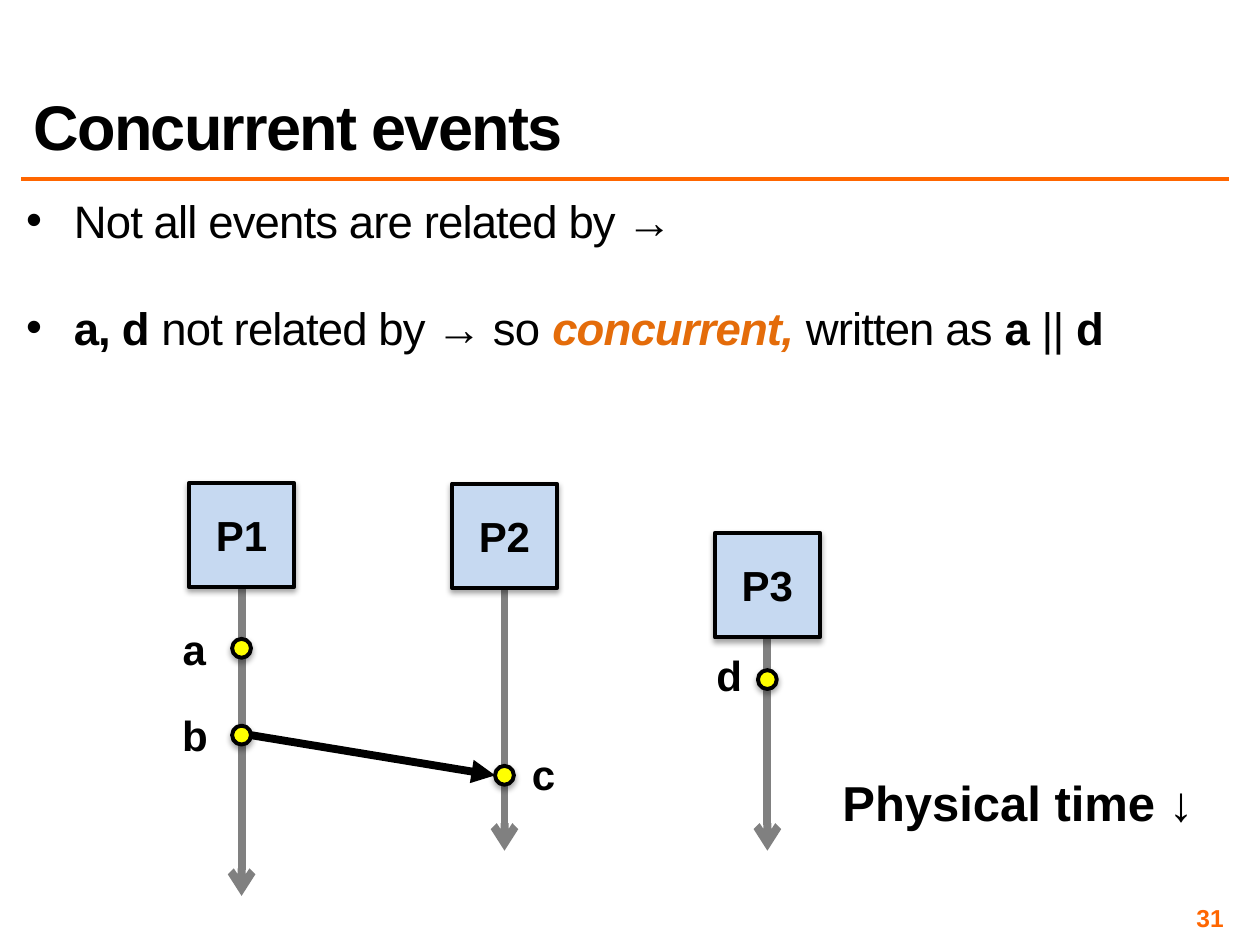
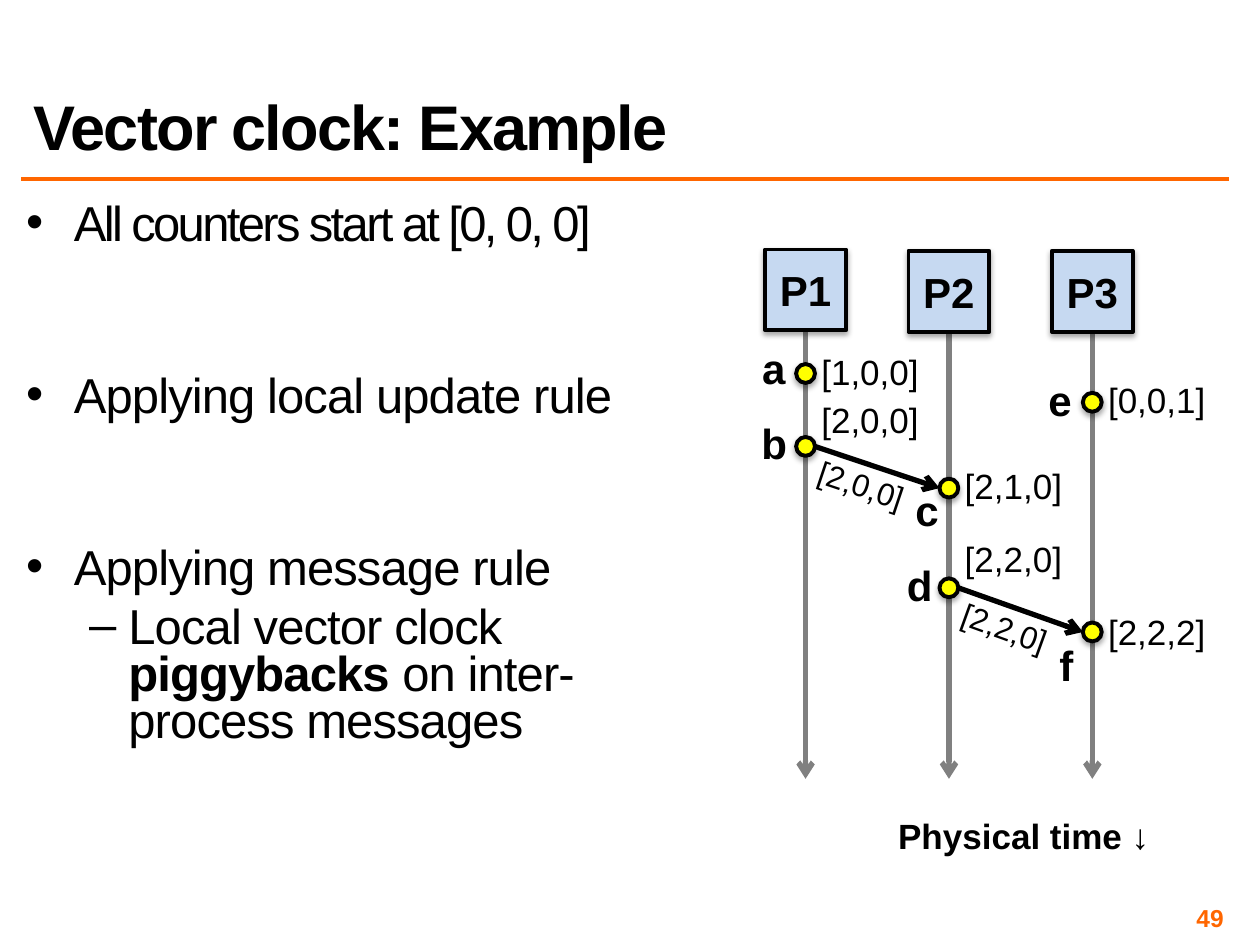
from lxml.etree import SubElement
from pptx import Presentation
from pptx.dml.color import RGBColor
from pptx.enum.shapes import MSO_CONNECTOR, MSO_SHAPE
from pptx.enum.text import MSO_ANCHOR, PP_ALIGN
from pptx.oxml.ns import qn
from pptx.util import Cm, Pt

COLORS = {
    "text": "000000",
    "accent": "FF6600",
    "emphasis": "E46C0A",
    "timeline": "808080",
    "process": "C6D9F1",
    "event": "FFFF00",
}
FONT = "Arial"
DOT = 0.38
VECTOR_SHIFT = 1.3
MARGIN = 0.43
CONTENT_WIDTH = 24.33


def color(name):
    """Return the named palette colour."""
    return RGBColor.from_string(COLORS[name])


def style(paragraph, size, bold=False, fill="text", spacing=0):
    """Set the font of a whole paragraph, with letter spacing in points."""
    font = paragraph.font
    font.name, font.size, font.bold = FONT, Pt(size), bold
    font.color.rgb = color(fill)
    if spacing:
        properties = paragraph._p.get_or_add_pPr().get_or_add_defRPr()
        properties.set("spc", str(int(spacing * 100)))


def add_text_frame(slide, left, top, width, height, anchor, inset=0.1):
    """Add a wrapping text box and return its text frame."""
    box = slide.shapes.add_textbox(Cm(left), Cm(top), Cm(width), Cm(height))
    frame = box.text_frame
    frame.word_wrap = True
    frame.vertical_anchor = anchor
    frame.margin_left = frame.margin_right = Cm(inset)
    frame.margin_top = frame.margin_bottom = Cm(0.1)
    return frame


def add_label(slide, text, x, y, width, size, bold=True, rotation=0):
    """Add a one-line label centred on a point."""
    height = 0.0423 * size + 0.25
    box = slide.shapes.add_textbox(
        Cm(x - width / 2), Cm(y - height / 2), Cm(width), Cm(height))
    box.rotation = rotation
    frame = box.text_frame
    frame.word_wrap = False
    frame.vertical_anchor = MSO_ANCHOR.MIDDLE
    paragraph = frame.paragraphs[0]
    paragraph.text = text
    paragraph.alignment = PP_ALIGN.CENTER
    style(paragraph, size, bold)


def add_line(slide, start, end, fill, width, head=None):
    """Draw a straight line, with an arrowhead at its end if one is named."""
    connector = slide.shapes.add_connector(
        MSO_CONNECTOR.STRAIGHT, *(Cm(value) for value in (*start, *end)))
    connector.line.color.rgb = color(fill)
    connector.line.width = Pt(width)
    if head:
        SubElement(connector.line._get_or_add_ln(), qn("a:tailEnd"), type=head)
    SubElement(connector._element.spPr, qn("a:effectLst"))


def add_outlined_shape(slide, kind, x, y, size, fill):
    """Add a black-outlined shape with a soft shadow, centred on a point."""
    shape = slide.shapes.add_shape(
        kind, Cm(x - size / 2), Cm(y - size / 2), Cm(size), Cm(size))
    shape.fill.solid()
    shape.fill.fore_color.rgb = color(fill)
    shape.line.color.rgb = color("text")
    shape.line.width = Pt(2.25)
    shape.shadow.inherit = False
    effects = shape._element.spPr.find(qn("a:effectLst"))
    shadow = SubElement(effects, qn("a:outerShdw"), blurRad="40000",
                        dist="23000", dir="5400000", rotWithShape="0")
    tint = SubElement(shadow, qn("a:srgbClr"), val=COLORS["text"])
    SubElement(tint, qn("a:alpha"), val="35000")
    return shape


def add_process(slide, name, x, top, size, end, width):
    """Add a process box with its timeline running down."""
    add_line(slide, (x, top + size), (x, end), "timeline", width, "arrow")
    box = add_outlined_shape(
        slide, MSO_SHAPE.FLOWCHART_PROCESS, x, top + size / 2, size, "process")
    frame = box.text_frame
    frame.margin_left = frame.margin_right = 0
    frame.vertical_anchor = MSO_ANCHOR.MIDDLE
    paragraph = frame.paragraphs[0]
    paragraph.text = name
    paragraph.alignment = PP_ALIGN.CENTER
    style(paragraph, 24, True)


def add_event(slide, letter, x, y, label_shift, vector=None, vector_rise=0):
    """Add an event dot with its letter and, if given, its vector clock."""
    add_outlined_shape(slide, MSO_SHAPE.OVAL, x, y, DOT, "event")
    add_label(slide, letter, x + label_shift[0], y + label_shift[1], 1, 24)
    if vector:
        add_label(slide, vector, x + VECTOR_SHIFT, y - vector_rise, 2.5, 20, False)


def add_message(slide, sender, receiver, width, head, vector=None, rotation=0):
    """Draw a message between two event dots, with its vector beneath."""
    (x1, y1), (x2, y2) = sender, receiver
    add_line(slide, (x1 + DOT / 2, y1), (x2 - DOT / 2, y2), "text", width, head)
    if vector:
        add_label(slide, vector, (x1 + x2) / 2 - 0.32, (y1 + y2) / 2 + 0.35,
                  2.29, 18, False, rotation)


def add_bullets(slide, width, height, size, bullets):
    """Fill the body from (level, space before, letter spacing, runs) items."""
    frame = add_text_frame(slide, MARGIN, 4.01, width, height, MSO_ANCHOR.TOP)
    for index, (level, space, spacing, runs) in enumerate(bullets):
        paragraph = frame.add_paragraph() if index else frame.paragraphs[0]
        paragraph.level = level
        paragraph.line_spacing = 0.8
        paragraph.space_before = Pt(space)
        margin, indent, mark = ((0.96, -0.96, "•"), (2.06, -0.79, "–"))[level]
        properties = paragraph._p.get_or_add_pPr()
        properties.set("marL", str(Cm(margin)))
        properties.set("indent", str(Cm(indent)))
        SubElement(properties, qn("a:buFont"), typeface=FONT)
        SubElement(properties, qn("a:buChar"), char=mark)
        style(paragraph, size, spacing=spacing)
        for text, look in runs:
            run = paragraph.add_run()
            run.text = text
            if look:
                run.font.bold = True
            if look == "emphasis":
                run.font.italic = True
                run.font.color.rgb = color("emphasis")


def add_base_slide(presentation, title, number):
    """Add a slide with the shared title, rule and slide number."""
    slide = presentation.slides.add_slide(presentation.slide_layouts[6])
    add_line(slide, (MARGIN, 3.61), (24.77, 3.61), "accent", 2)
    frame = add_text_frame(
        slide, MARGIN, MARGIN, CONTENT_WIDTH, 2.97, MSO_ANCHOR.BOTTOM, 0.25)
    frame.margin_bottom = Cm(0.13)
    heading = frame.paragraphs[0]
    heading.text = title
    heading.line_spacing = 0.8
    style(heading, 36, True, spacing=-1)
    frame = add_text_frame(slide, 18.85, 18.21, 5.92, 0.58, MSO_ANCHOR.MIDDLE)
    footer = frame.paragraphs[0]
    footer.text = number
    footer.alignment = PP_ALIGN.RIGHT
    style(footer, 14, True, "accent")
    return slide


def build_concurrent_events(presentation):
    """Build the slide on concurrent events."""
    slide = add_base_slide(presentation, "Concurrent events", "31")
    add_bullets(slide, CONTENT_WIDTH, 4.11, 26, [
        (0, 0, -0.5, [("Not all events are related by →", None)]),
        (0, 36, -0.5, [
            ("a, d", "bold"), (" not related by → so ", None),
            ("concurrent, ", "emphasis"), ("written as ", None),
            ("a", "bold"), (" || ", None), ("d", "bold")]),
    ])
    columns = [4.87 + 5.3 * index for index in range(3)]
    tops, ends = (9.73, 9.75, 10.74), (18.06, 17.15, 17.15)
    for index, (x, top, end) in enumerate(zip(columns, tops, ends), 1):
        add_process(slide, f"P{index}", x, top, 2.11, end, 4.5)
    first, second, third = columns
    add_event(slide, "a", first, 13.07, (-0.95, 0))
    add_event(slide, "b", first, 14.82, (-0.95, 0))
    add_event(slide, "c", second, 15.63, (0.79, -0.04))
    add_event(slide, "d", third, 13.7, (-0.78, -0.09))
    add_message(slide, (first, 14.82), (second, 15.63), 4.5, "triangle")
    add_label(slide, "Physical time ↓", 20.52, 16.17, 7.67, 28)


def build_vector_clock(presentation):
    """Build the vector clock example slide."""
    slide = add_base_slide(presentation, "Vector clock: Example", "49")
    add_bullets(slide, 13.77, 14.5, 28, [
        (0, 0, -1.5, [("All counters start at [0, 0, 0]", None)]),
        (0, 71.5, -0.5, [("Applying local update rule", None)]),
        (0, 71.5, -0.5, [("Applying message rule", None)]),
        (1, 6.4, -0.5, [
            ("Local vector clock ", None), ("piggybacks", "bold"),
            (" on inter-process messages", None)]),
    ])
    columns = [16.24 + 2.89 * index for index in range(3)]
    for index, (x, top) in enumerate(zip(columns, (5.03, 5.06, 5.06)), 1):
        add_process(slide, f"P{index}", x, top, 1.63, 15.7, 3)
    first, second, third = columns
    add_event(slide, "a", first, 7.53, (-0.64, -0.11), "[1,0,0]", 0.04)
    add_event(slide, "b", first, 9, (-0.64, -0.08), "[2,0,0]", 0.54)
    add_event(slide, "c", second, 9.84, (-0.44, 0.44), "[2,1,0]", 0.06)
    add_event(slide, "d", second, 11.85, (-0.6, -0.07), "[2,2,0]", 0.6)
    add_event(slide, "e", third, 8.11, (-0.65, -0.06), "[0,0,1]", 0.06)
    add_event(slide, "f", third, 12.74, (-0.52, 0.65), "[2,2,2]")
    add_message(slide, (first, 9), (second, 9.84), 3, "arrow", "[2,0,0]", 18.5)
    add_message(slide, (second, 11.85), (third, 12.74), 3, "arrow", "[2,2,0]", 19.8)
    add_label(slide, "Physical time ↓", 20.64, 16.84, 5.61, 20)


def main():
    """Build and save the presentation."""
    presentation = Presentation()
    presentation.slide_width, presentation.slide_height = Cm(25.4), Cm(19.05)
    build_concurrent_events(presentation)
    build_vector_clock(presentation)
    presentation.save("out.pptx")


if __name__ == "__main__":
    main()
